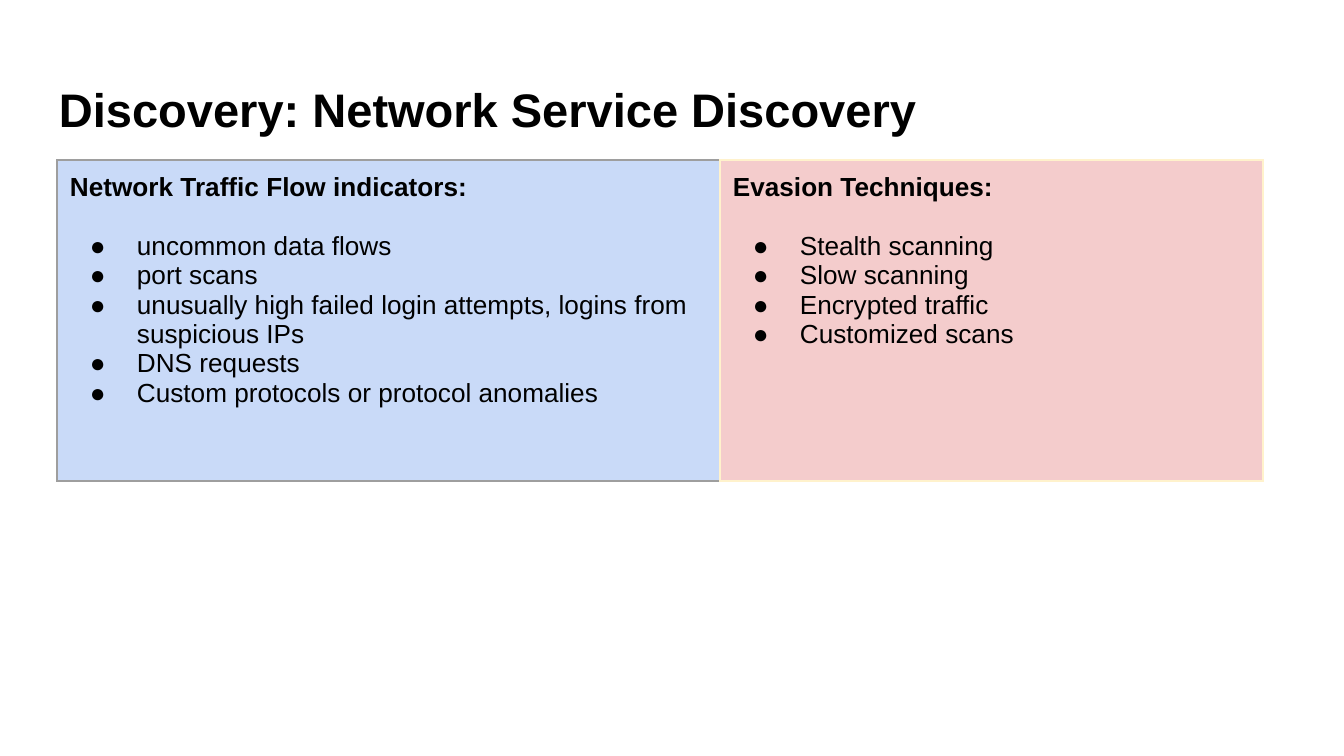
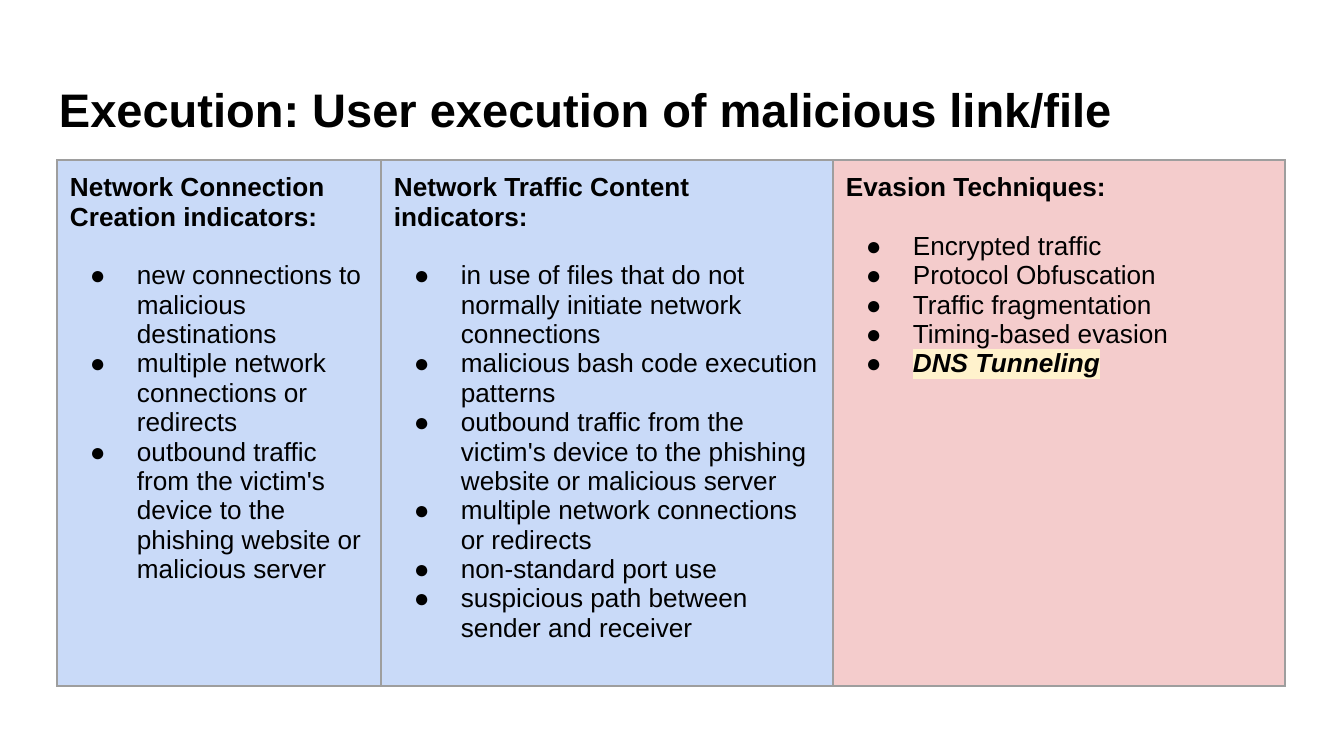
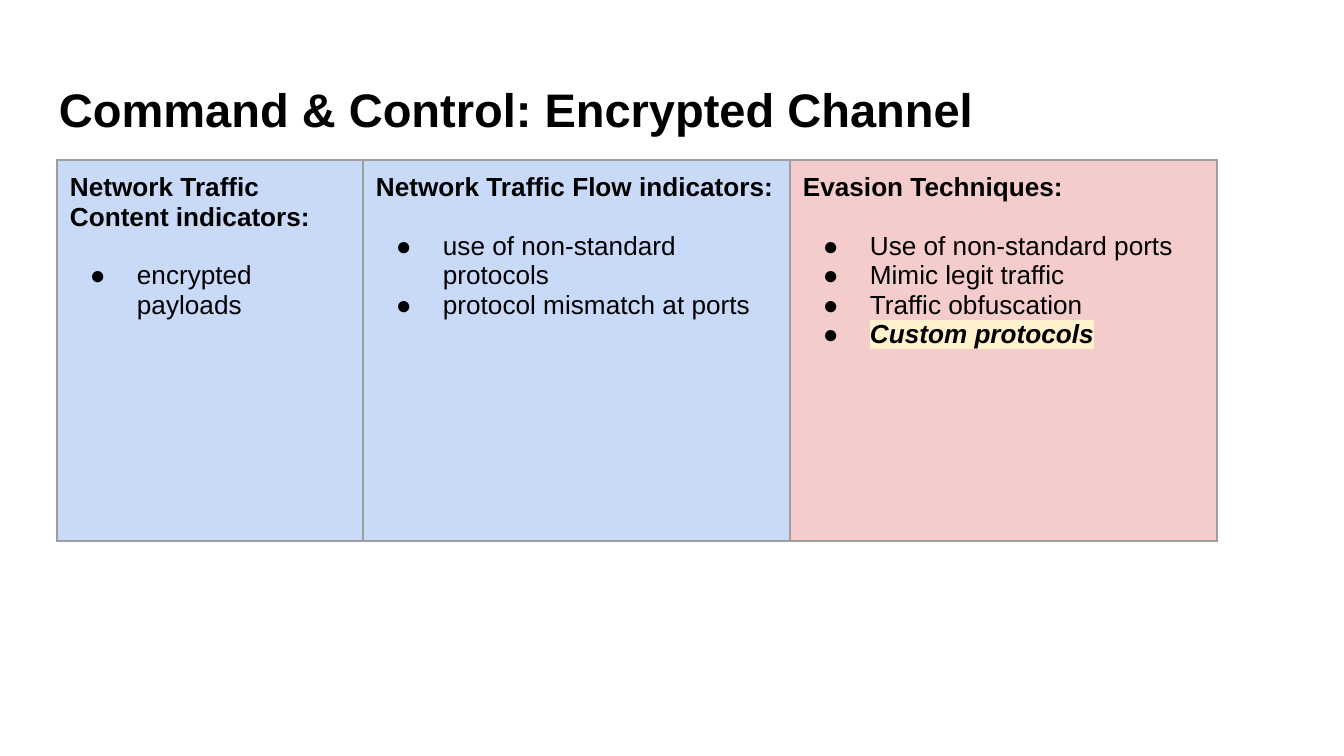
"""Build three slides that set network indicators beside evasion techniques."""
import dataclasses

import pptx
import pptx.dml.color
import pptx.enum.text
import pptx.oxml
import pptx.oxml.ns
import pptx.util


@dataclasses.dataclass(frozen=True)
class Theme:
    font: str = "Arial"
    title_size: float = 25.2
    body_size: float = 14
    heading_gap: float = 15.75
    border_width: float = 0.75
    text: str = "000000"
    background: str = "FFFFFF"
    indicator_fill: str = "C9DAF8"
    evasion_fill: str = "F4CCCC"
    border: str = "9E9E9E"
    pale_border: str = "FFF2CC"
    highlight: str = "FFF2CC"


THEME = Theme()
EMU_PER_PX = 914400 / 134.4
INSET = 13
BULLET_INDENT = 67
BULLET_HANG = 47
ROWS = 3
EVASION = "Evasion Techniques:"
HIGHLIGHTED = {"DNS Tunneling", "Custom protocols"}

SLIDES = [
    {
        "title": "Discovery: Network Service Discovery",
        "row_height": 107,
        "widths": [663, 543],
        "evasion_border": THEME.pale_border,
        "columns": [
            ("Network Traffic Flow indicators:", [
                "uncommon data flows",
                "port scans",
                "unusually high failed login attempts, logins from suspicious IPs",
                "DNS requests",
                "Custom protocols or protocol anomalies",
            ]),
            (EVASION, [
                "Stealth scanning",
                "Slow scanning",
                "Encrypted traffic",
                "Customized scans",
            ]),
        ],
    },
    {
        "title": "Execution: User execution of malicious link/file",
        "row_height": 165,
        "widths": [324, 452, 452],
        "evasion_border": THEME.border,
        "columns": [
            ("Network Connection Creation indicators:", [
                "new connections to malicious destinations",
                "multiple network connections or redirects",
                "outbound traffic from the victim's device to the phishing website or malicious server",
            ]),
            ("Network Traffic Content indicators:", [
                "in use of files that do not normally initiate network connections",
                "malicious bash code execution patterns",
                "outbound traffic from the victim's device to the phishing website or malicious server",
                "multiple network connections or redirects",
                "non-standard port use",
                "suspicious path between sender and receiver",
            ]),
            (EVASION, [
                "Encrypted traffic",
                "Protocol Obfuscation",
                "Traffic fragmentation",
                "Timing-based evasion",
                "DNS Tunneling",
            ]),
        ],
    },
    {
        "title": "Command & Control: Encrypted Channel",
        "row_height": 127,
        "widths": [306, 427, 427],
        "evasion_border": THEME.border,
        "columns": [
            ("Network Traffic Content indicators:", ["encrypted payloads"]),
            ("Network Traffic Flow indicators:", [
                "use of non-standard protocols",
                "protocol mismatch at ports",
            ]),
            (EVASION, [
                "Use of non-standard ports",
                "Mimic legit traffic",
                "Traffic obfuscation",
                "Custom protocols",
            ]),
        ],
    },
]


def px(length):
    return pptx.util.Emu(round(length * EMU_PER_PX))


def add_run(paragraph, text, size, bold=False):
    run = paragraph.add_run()
    run.text = text
    run.font.name = THEME.font
    run.font.size = pptx.util.Pt(size)
    run.font.bold = bold
    run.font.color.rgb = pptx.dml.color.RGBColor.from_string(THEME.text)
    return run


presentation = pptx.Presentation()
presentation.slide_width = px(1344)
presentation.slide_height = px(756)
namespace = pptx.oxml.ns.nsdecls("a")

for content in SLIDES:
    slide = presentation.slides.add_slide(presentation.slide_layouts[6])
    slide.background.fill.solid()
    slide.background.fill.fore_color.rgb = pptx.dml.color.RGBColor.from_string(THEME.background)

    title_frame = slide.shapes.add_textbox(px(46), px(66), px(1253), px(84)).text_frame
    title_frame.word_wrap = True
    title_frame.vertical_anchor = pptx.enum.text.MSO_ANCHOR.BOTTOM
    title_frame.margin_left = title_frame.margin_right = px(INSET)
    title_frame.margin_top = title_frame.margin_bottom = px(INSET)
    add_run(title_frame.paragraphs[0], content["title"], THEME.title_size, bold=True)

    widths = content["widths"]
    table = slide.shapes.add_table(
        ROWS, len(widths), px(57), px(160), px(sum(widths)), px(ROWS * content["row_height"])
    ).table
    table.first_row = False
    table.horz_banding = False
    for row in table.rows:
        row.height = px(content["row_height"])

    for column_index, (heading, bullets) in enumerate(content["columns"]):
        table.columns[column_index].width = px(widths[column_index])
        is_evasion = heading == EVASION
        before_evasion = column_index == len(widths) - 2
        fill_color = THEME.evasion_fill if is_evasion else THEME.indicator_fill
        outer_color = content["evasion_border"] if is_evasion else THEME.border
        right_color = content["evasion_border"] if before_evasion else outer_color
        side_colors = {"lnL": outer_color, "lnR": right_color, "lnT": outer_color, "lnB": outer_color}

        for row_index in range(ROWS):
            cell = table.cell(row_index, column_index)
            cell.margin_left = cell.margin_right = px(INSET)
            cell.margin_top = cell.margin_bottom = px(INSET)
            cell.fill.solid()
            cell.fill.fore_color.rgb = pptx.dml.color.RGBColor.from_string(fill_color)
            cell_properties = cell._tc.get_or_add_tcPr()
            for position, (side, color) in enumerate(side_colors.items()):
                cell_properties.insert(position, pptx.oxml.parse_xml(
                    f'<a:{side} {namespace} w="{pptx.util.Pt(THEME.border_width)}">'
                    f'<a:solidFill><a:srgbClr val="{color}"/></a:solidFill></a:{side}>'
                ))

        top_cell = table.cell(0, column_index)
        top_cell.merge(table.cell(ROWS - 1, column_index))
        paragraph = top_cell.text_frame.paragraphs[0]
        paragraph.space_after = pptx.util.Pt(THEME.heading_gap)
        add_run(paragraph, heading, THEME.body_size, bold=True)

        for bullet in bullets:
            paragraph = top_cell.text_frame.add_paragraph()
            paragraph_properties = paragraph._p.get_or_add_pPr()
            paragraph_properties.set("marL", str(px(BULLET_INDENT)))
            paragraph_properties.set("indent", str(px(-BULLET_HANG)))
            for bullet_xml in (
                f'<a:buClr {namespace}><a:srgbClr val="{THEME.text}"/></a:buClr>',
                f'<a:buFont {namespace} typeface="{THEME.font}"/>',
                f'<a:buChar {namespace} char="●"/>',
            ):
                paragraph_properties.append(pptx.oxml.parse_xml(bullet_xml))
            run = add_run(paragraph, bullet, THEME.body_size, bold=bullet in HIGHLIGHTED)
            if bullet in HIGHLIGHTED:
                run.font.italic = True
                text_fill = run._r.rPr.find(pptx.oxml.ns.qn("a:solidFill"))
                text_fill.addnext(pptx.oxml.parse_xml(
                    f'<a:highlight {namespace}><a:srgbClr val="{THEME.highlight}"/></a:highlight>'
                ))

presentation.save("out.pptx")
